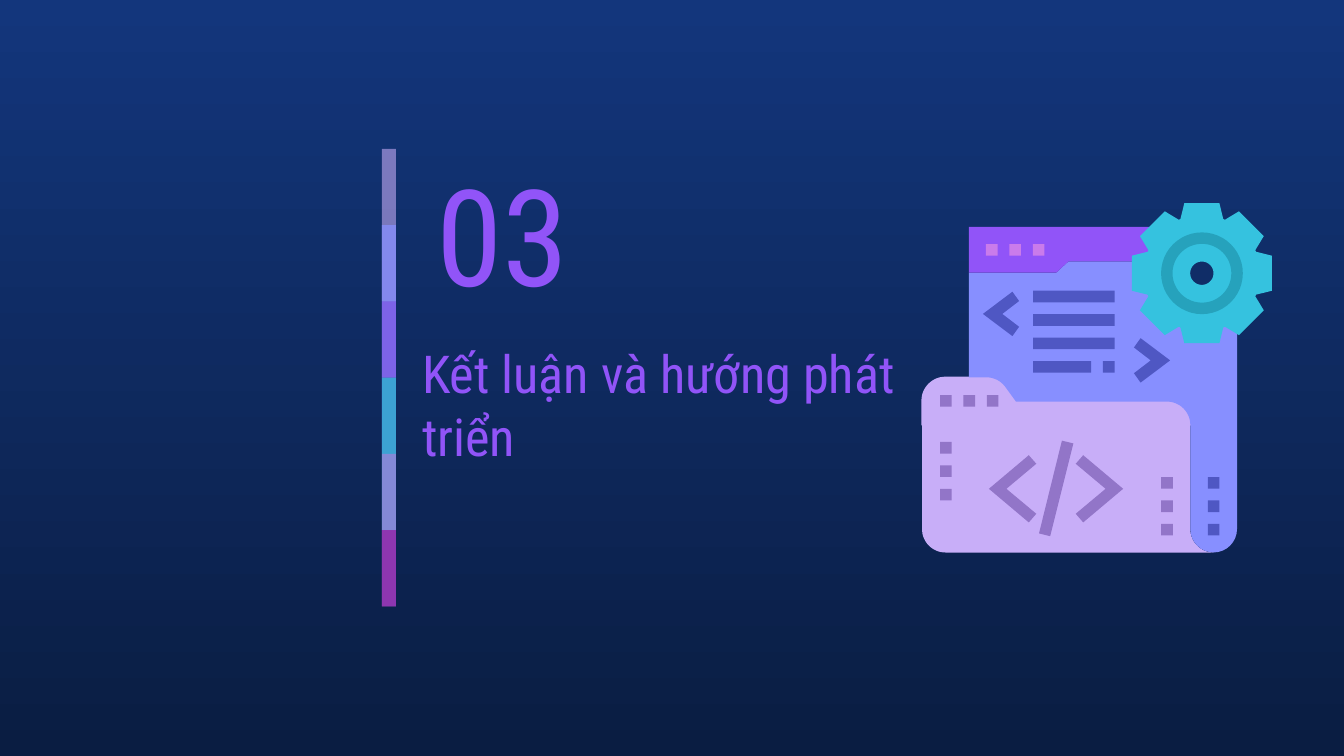
import math

from lxml import etree
from pptx import Presentation
from pptx import util as u
from pptx.dml.color import RGBColor
from pptx.enum import shapes, text
from pptx.oxml import ns

Pt = u.Pt
FONT = "Roboto Condensed"
COLORS = {
    "sky": "13367C", "night": "0A1D42", "lilac": "C8AEF8",
    "periwinkle": "878FFF", "violet": "9154F8", "cyan": "35C2DF",
    "orchid": "CA7BEB", "magenta": "972CB4", "teal": "26A2BC",
    "mauve": "9275C8", "indigo": "4F57C3",
}
DOT = 6.25
PITCH = 12.55
CORNER = 12.5
GEAR = (643.9, 146.4)


def rgb(name):
    return RGBColor.from_string(COLORS[name])


def paint(shape, color, alpha=None, outline=None):
    shape.shadow.inherit = False
    shape.fill.solid()
    shape.fill.fore_color.rgb = rgb(color)
    if alpha is not None:
        tint = shape._element.spPr.find(".//" + ns.qn("a:srgbClr"))
        etree.SubElement(tint, ns.qn("a:alpha"), val=str(alpha * 1000))
    if outline:
        shape.line.color.rgb = rgb(outline)
        shape.line.width = Pt(0.75)
    else:
        shape.line.fill.background()
    return shape


def block(slide, left, top, width, height, color, alpha=None,
          kind=shapes.MSO_SHAPE.RECTANGLE):
    shape = slide.shapes.add_shape(kind, Pt(left), Pt(top), Pt(width), Pt(height))
    return paint(shape, color, alpha)


def outline_shape(slide, contours, color, outline=None):
    builder = None
    for contour in contours:
        points = [(Pt(x), Pt(y)) for x, y in contour]
        if builder is None:
            builder = slide.shapes.build_freeform(*points[0])
        else:
            builder.move_to(*points[0])
        builder.add_line_segments(points[1:], close=True)
    return paint(builder.convert_to_shape(), color, outline=outline)


def arc(cx, cy, radius, start, end, steps=16):
    angles = [math.radians(start + (end - start) * i / steps) for i in range(steps + 1)]
    return [(cx + radius * math.cos(a), cy + radius * math.sin(a)) for a in angles]


def dots(slide, left, top, color, dx=0, dy=0):
    for i in range(3):
        block(slide, left + i * dx, top + i * dy, DOT, DOT, color)


def chevron(slide, tip, arm, direction, color):
    x, y = tip
    (outer_x, outer_y), (end_x, end_y), inner_x = arm
    half = [(0, 0), (outer_x, -outer_y), (end_x, -end_y), (inner_x, 0),
            (end_x, end_y), (outer_x, outer_y)]
    outline_shape(slide, [[(x + direction * px, y + py) for px, py in half]], color)


def write(shape, words, left, top, width, height, size, color):
    shape.left, shape.top, shape.width, shape.height = map(Pt, (left, top, width, height))
    frame = shape.text_frame
    frame.word_wrap = True
    frame.auto_size = text.MSO_AUTO_SIZE.NONE
    frame.vertical_anchor = text.MSO_ANCHOR.MIDDLE
    frame.margin_left = frame.margin_right = Pt(7.2)
    frame.margin_top = frame.margin_bottom = Pt(7.2)
    paragraph = frame.paragraphs[0]
    paragraph.alignment = text.PP_ALIGN.LEFT
    run = paragraph.add_run()
    run.text = words
    run.font.name = FONT
    run.font.size = Pt(size)
    run.font.color.rgb = rgb(color)


def background(slide):
    fill = slide.background.fill
    fill.gradient()
    fill.gradient_angle = 270
    for stop, color, position in zip(fill.gradient_stops, ("sky", "night"), (0, 1)):
        stop.color.rgb = rgb(color)
        stop.position = position


def color_strip(slide):
    bands = [("lilac", 58), ("periwinkle", 74), ("violet", 53),
             ("cyan", 76), ("orchid", 56), ("magenta", 74)]
    step = 40.85
    for i, (color, alpha) in enumerate(bands):
        height = step if i == len(bands) - 1 else 2 * step
        block(slide, 204.6, 79.8 + i * step, 7.5, height, color, alpha)


def folder_and_page(slide):
    tab_edge = arc(528.5, 214.7, CORNER, 270, 325) + [(544.3, 215.2)]
    tab_edge += arc(625.2, 227.7, CORNER, 270, 360)
    front = [(494, 227.7)] + arc(506.5, 283.5, CORNER, 180, 90)
    front += arc(650.2, 283.5, CORNER, 90, 180) + [(637.7, 227.7)]
    tab = [(494, 227.7)] + arc(506.5, 214.7, CORNER, 180, 270) + tab_edge
    page = [(572.4, 140.1), (519.1, 146.1), (519.1, 202.2)] + tab_edge
    page[1:1] = [(565.9, 146.1)]
    page += arc(650.2, 283.5, CORNER, 180, 0)
    page += [(662.7, 178.6), (655, 173), (633.6, 173), (619, 158), (619, 140.1)]
    header = [(519.1, 121.6), (519.1, 146.1), (565.9, 146.1), (572.4, 140.1),
              (615.6, 140.1), (615.6, 121.6)]
    outline_shape(slide, [front], "lilac")
    outline_shape(slide, [tab], "lilac", outline="lilac")
    outline_shape(slide, [page], "periwinkle")
    outline_shape(slide, [header], "violet")


def gear(slide):
    cx, cy = GEAR
    tooth = [(-11.5, -29), (-9.4, -37.5), (9.4, -37.5), (11.5, -29)]
    rim = []
    for i in range(8):
        c, s = math.cos(i * math.pi / 4), math.sin(i * math.pi / 4)
        rim += [(cx + x * c - y * s, cy + x * s + y * c) for x, y in tooth]
    outline_shape(slide, [rim, arc(cx, cy, DOT, 360, 0, 40)], "cyan")
    radius = 21.9
    ring = block(slide, cx - radius, cy - radius, 2 * radius, 2 * radius, "teal",
                 kind=shapes.MSO_SHAPE.DONUT)
    ring.adjustments[0] = 0.14


def code_marks(slide):
    dots(slide, 528.2, 130.8, "orchid", dx=PITCH)
    dots(slide, 503.6, 211.7, "mauve", dx=PITCH)
    dots(slide, 503.6, 236.8, "mauve", dy=PITCH)
    dots(slide, 622.1, 255.6, "mauve", dy=PITCH)
    dots(slide, 647.1, 255.6, "indigo", dy=PITCH)
    for i, width in enumerate((43.8, 43.8, 43.8, 31.2)):
        block(slide, 553.4, 155.8 + i * PITCH, width, DOT, "indigo")
    block(slide, 590.9, 155.8 + 3 * PITCH, DOT, DOT, "indigo")
    small = ((15.8, 11.9), (19.4, 6.9), 10.4)
    large = ((21.4, 18), (25.4, 13.4), 9.4)
    chevron(slide, (526.6, 168.2), small, 1, "indigo")
    chevron(slide, (626.9, 193.1), small, -1, "indigo")
    chevron(slide, (529.8, 261.9), large, 1, "mauve")
    chevron(slide, (601.7, 261.9), large, -1, "mauve")
    slash = [(568.9, 236.1), (556.6, 285.8), (562.6, 287.3), (575, 237.6)]
    outline_shape(slide, [slash], "mauve")


def main():
    deck = Presentation()
    deck.slide_width, deck.slide_height = Pt(720), Pt(405)
    slide = deck.slides.add_slide(deck.slide_layouts[5])
    background(slide)
    color_strip(slide)
    number = slide.shapes.add_textbox(0, 0, 0, 0)
    write(number, "03", 226.8, 96.5, 96.5, 56.9, size=72, color="violet")
    write(slide.shapes.title, "Kết luận và hướng phát triển",
          218.9, 183.6, 293, 65.5, size=28, color="violet")
    folder_and_page(slide)
    gear(slide)
    code_marks(slide)
    deck.save("out.pptx")


if __name__ == "__main__":
    main()
